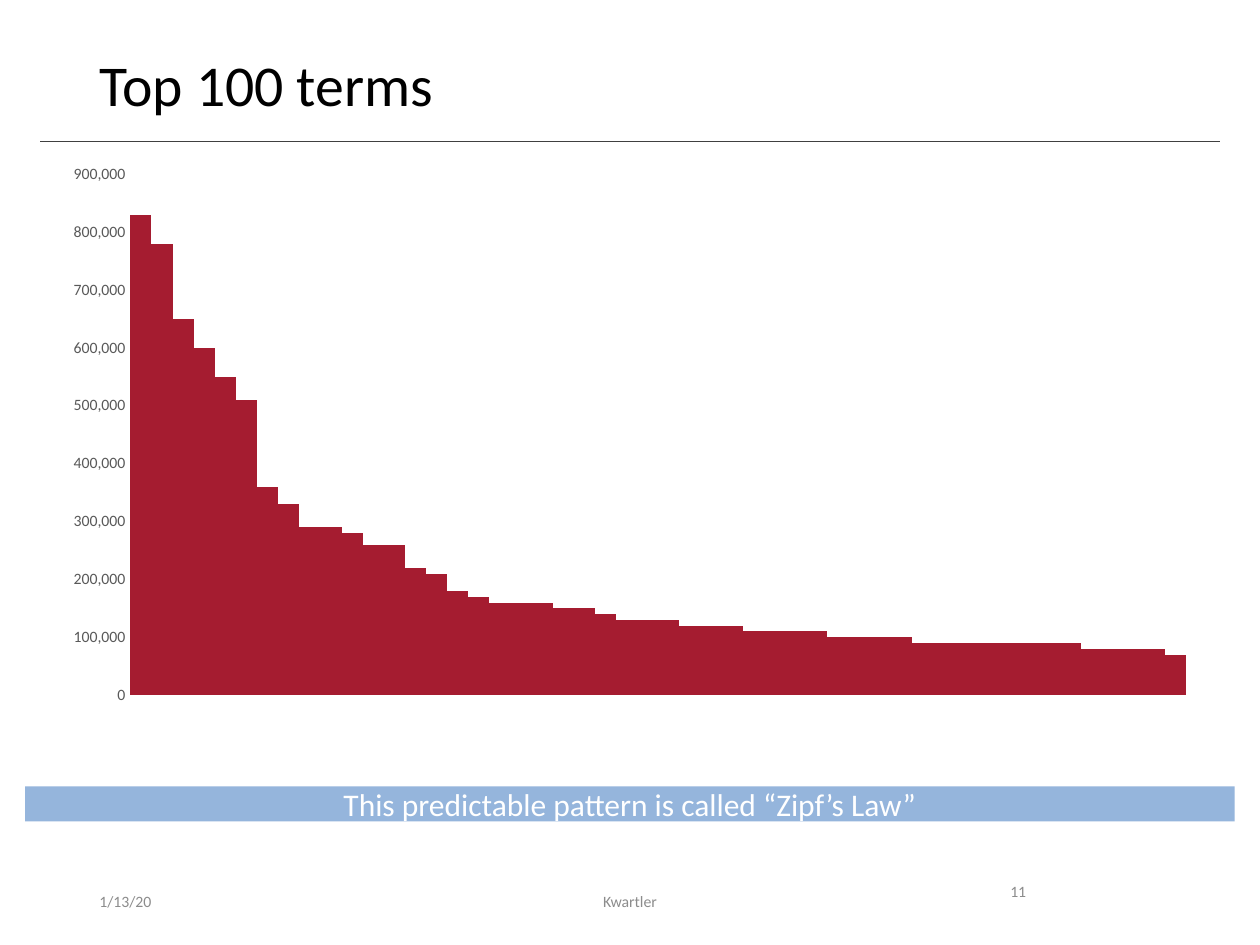
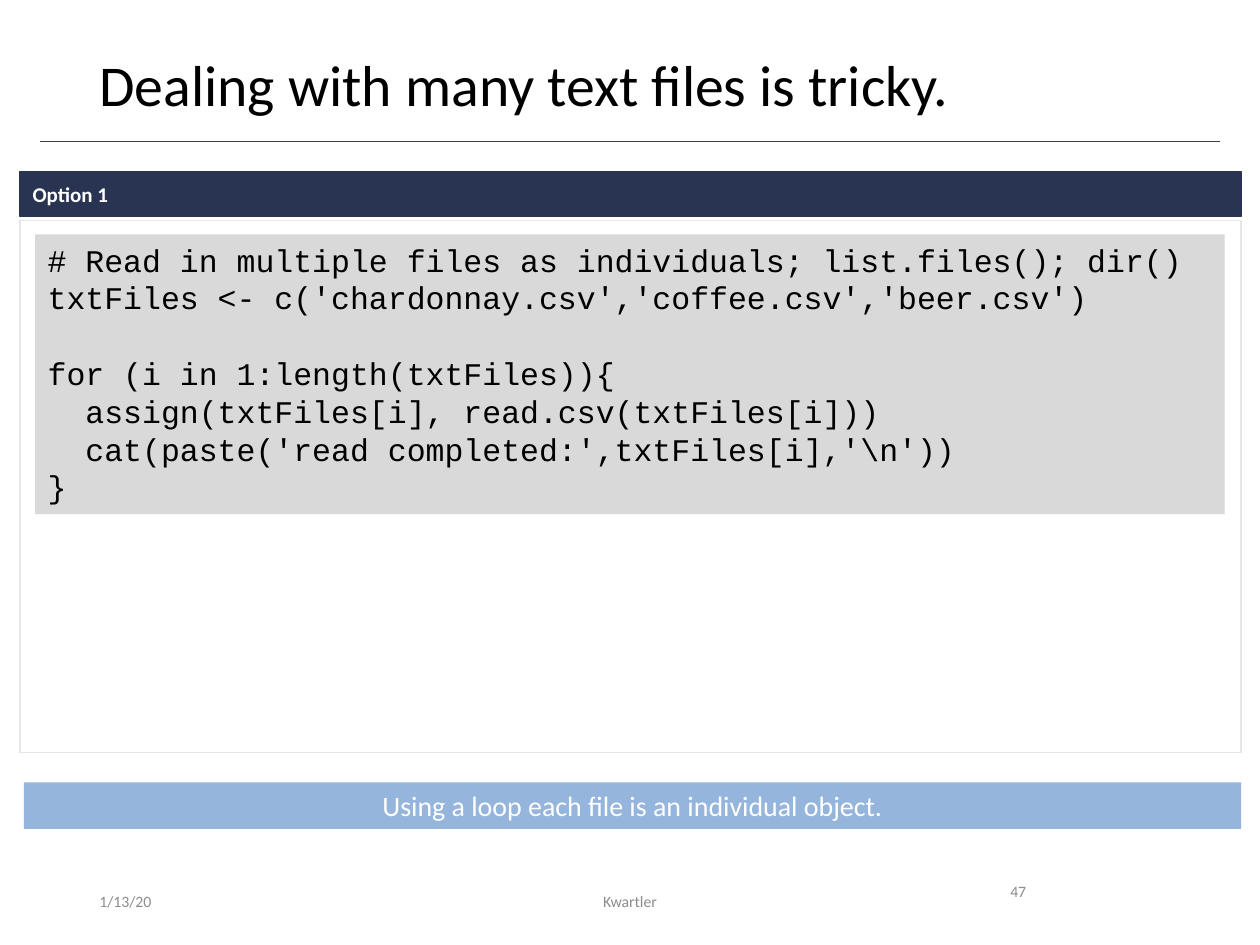
from lxml import etree
from pptx import Presentation
from pptx import util as u
from pptx.chart.data import CategoryChartData
from pptx.dml.color import RGBColor
from pptx.enum import chart as charts, shapes, text
from pptx.oxml.ns import qn

BLACK = RGBColor(0x00, 0x00, 0x00)
WHITE = RGBColor(0xFF, 0xFF, 0xFF)
CRIMSON = RGBColor(0xA5, 0x1C, 0x30)
NAVY = RGBColor(0x29, 0x33, 0x52)
SKY = RGBColor(0x95, 0xB5, 0xDC)
CODE_GREY = RGBColor(0xD9, 0xD9, 0xD9)
BORDER_GREY = RGBColor(0xE7, 0xE6, 0xE6)
RULE_GREY = RGBColor(0x40, 0x40, 0x40)
AXIS_GREY = RGBColor(0x59, 0x59, 0x59)
FOOTER_GREY = RGBColor(0x8C, 0x8C, 0x8C)

LEFT, CENTER = text.PP_ALIGN.LEFT, text.PP_ALIGN.CENTER
TOP, MIDDLE = text.MSO_ANCHOR.TOP, text.MSO_ANCHOR.MIDDLE


def add_text(page, place, lines=(), size=18, color=BLACK, font="Calibri", bold=False,
             align=LEFT, anchor=TOP, spacing=None, fill=None, border=None, gap_before=()):
    """Add a text box, or a rectangle when a fill is given; gap_before lists lines set off by a gap."""
    place = [u.Inches(length) for length in place]
    if fill is None:
        box = page.shapes.add_textbox(*place)
    else:
        box = page.shapes.add_shape(shapes.MSO_SHAPE.RECTANGLE, *place)
        box.shadow.inherit = False
        box.fill.solid()
        box.fill.fore_color.rgb = fill
        if border is None:
            box.line.fill.background()
        else:
            box.line.color.rgb = border
            box.line.width = u.Pt(0.75)
    frame = box.text_frame
    frame.word_wrap = True
    frame.vertical_anchor = anchor
    for number, line in enumerate(lines):
        para = frame.add_paragraph() if number else frame.paragraphs[0]
        para.alignment = align
        if spacing:
            para.line_spacing = spacing
        if number in gap_before:
            para.space_before = u.Pt(size * 1.2)
        span = para.add_run()
        span.text = line
        span.font.name = font
        span.font.size = u.Pt(size)
        span.font.bold = bold
        span.font.color.rgb = color


def add_page(deck, title, number):
    """Add a page with the shared title, rule and footers."""
    page = deck.slides.add_slide(deck.slide_layouts[6])
    rule = page.shapes.add_connector(shapes.MSO_CONNECTOR.STRAIGHT, u.Inches(0.32),
                                     u.Inches(1.12), u.Inches(9.68), u.Inches(1.12))
    rule.line.color.rgb = RULE_GREY
    rule.line.width = u.Pt(0.5)
    etree.SubElement(rule.element.spPr, qn("a:effectLst"))
    add_text(page, (0.69, 0.4, 8.62, 0.65), [title], size=33, spacing=0.9)
    footer = dict(size=9, color=FOOTER_GREY)
    add_text(page, (0.69, 6.95, 2.25, 0.4), ["1/13/20"], anchor=MIDDLE, **footer)
    add_text(page, (3.31, 6.95, 3.38, 0.4), ["Kwartler"], anchor=MIDDLE, align=CENTER, **footer)
    add_text(page, (7.92, 6.95, 0.94, 0.4), [number], **footer)
    return page


deck = Presentation()
deck.slide_width, deck.slide_height = u.Inches(10), u.Inches(7.5)
banner = dict(color=WHITE, fill=SKY, align=CENTER, anchor=MIDDLE)

# Term frequencies
page = add_page(deck, "Top 100 terms", "11")
ten_thousands = [83, 78, 65, 60, 55, 51, 36, 33, 29, 29,
                 28, 26, 26, 22, 21, 18, 17, 16, 16, 16,
                 15, 15, 14, 13, 13, 13, 12, 12, 12, 11,
                 11, 11, 11, 10, 10, 10, 10, 9, 9, 9,
                 9, 9, 9, 9, 9, 8, 8, 8, 8, 7]
frequencies = CategoryChartData(number_format="#,##0")
frequencies.categories = [str(rank + 1) for rank in range(len(ten_thousands))]
frequencies.add_series("Series 1", [value * 10000 for value in ten_thousands])
chart = page.shapes.add_chart(charts.XL_CHART_TYPE.COLUMN_CLUSTERED, u.Inches(0.4), u.Inches(1.22),
                              u.Inches(9.2), u.Inches(4.46), frequencies).chart
chart.has_legend = chart.has_title = False
chart.font.name = "Calibri"
chart.font.size = u.Pt(10)
chart.font.color.rgb = BLACK
chart.category_axis.visible = False
axis = chart.value_axis
axis.has_major_gridlines = False
axis.major_tick_mark = charts.XL_TICK_MARK.NONE
axis.minimum_scale, axis.maximum_scale, axis.major_unit = 0, 900000, 100000
axis.format.line.fill.background()
labels = axis.tick_labels
labels.number_format = "#,##0"
labels.number_format_is_linked = False
labels.font.name = "Calibri"
labels.font.size = u.Pt(9)
labels.font.color.rgb = AXIS_GREY
plot = chart.plots[0]
plot.gap_width, plot.overlap, plot.vary_by_categories = 0, -27, False
bars = plot.series[0].format.fill
bars.solid()
bars.fore_color.rgb = CRIMSON
add_text(page, (0.2, 6.24, 9.6, 0.28), ["This predictable pattern is called “Zipf’s Law”"],
         size=18, **banner)

# Reading files in a loop
page = add_page(deck, "Dealing with many text files is tricky.", "47")
add_text(page, (0.16, 1.75, 9.69, 4.22), fill=WHITE, border=BORDER_GREY)
add_text(page, (0.16, 1.36, 9.69, 0.36), ["Option 1"], size=12, color=WHITE, bold=True,
         anchor=MIDDLE, fill=NAVY, border=NAVY)
code = [
    "# Read in multiple files as individuals; list.files(); dir()",
    "txtFiles <- c('chardonnay.csv','coffee.csv','beer.csv')",
    "for (i in 1:length(txtFiles)){",
    "  assign(txtFiles[i], read.csv(txtFiles[i]))",
    "  cat(paste('read completed:',txtFiles[i],'\\n'))",
    "}",
]
add_text(page, (0.28, 1.86, 9.44, 2.22), code, font="Courier New", fill=CODE_GREY, gap_before=(2,))
add_text(page, (0.19, 6.21, 9.66, 0.37), ["Using a loop each file is an individual object."],
         size=16, **banner)

deck.save("out.pptx")
